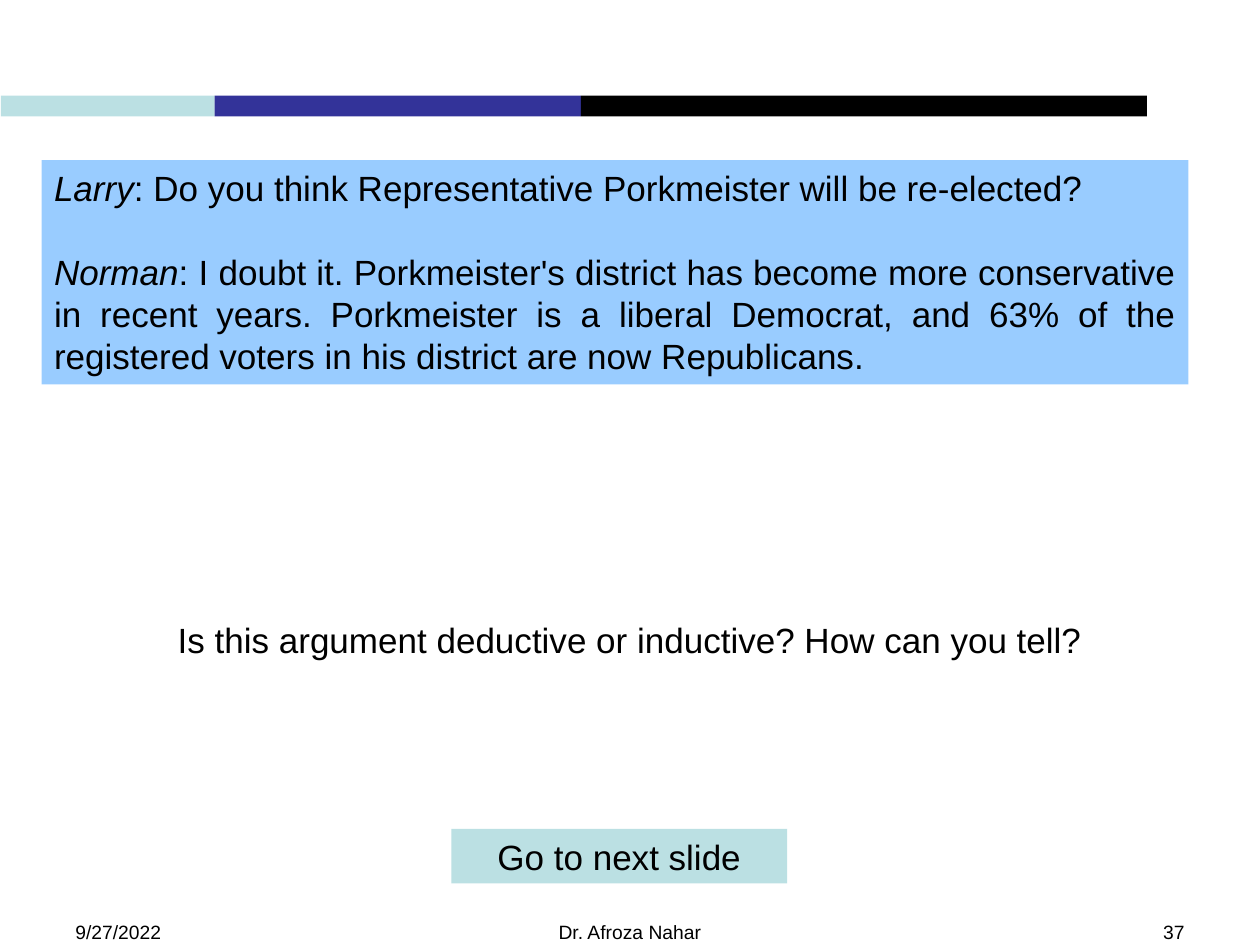
"""Build a slide with a short dialogue and a question on its argument."""
from dataclasses import dataclass

from pptx import Presentation
from pptx.dml.color import RGBColor
from pptx.enum.shapes import MSO_SHAPE
from pptx.enum.text import MSO_ANCHOR, PP_ALIGN
from pptx.util import Cm, Pt

RECT = MSO_SHAPE.RECTANGLE
TOP = MSO_ANCHOR.TOP
LEFT, MID, RIGHT, FULL = (PP_ALIGN.LEFT, PP_ALIGN.CENTER,
                          PP_ALIGN.RIGHT, PP_ALIGN.JUSTIFY)


@dataclass(frozen=True)
class Theme:
    """Hold the colours, font and type sizes."""
    ink: str = "000000"
    teal: str = "BBE0E3"
    navy: str = "333399"
    sky: str = "99CCFF"
    font: str = "Arial"
    body: int = 20
    small: int = 11


def write(shape, paras, theme, size, align=LEFT, gap=0):
    """Fill a shape with paragraphs of (text, italic) runs."""
    frame = shape.text_frame
    frame.word_wrap = True
    frame.vertical_anchor = TOP
    for i, runs in enumerate(paras):
        para = frame.add_paragraph() if i else frame.paragraphs[0]
        para.alignment = align
        para.space_before = Pt(gap if i else 0)
        for text, slant in runs:
            run = para.add_run()
            run.text = text
            font = run.font
            font.name, font.size, font.italic = theme.font, Pt(size), slant
            font.color.rgb = RGBColor.from_string(theme.ink)


class Page:
    """Draw elements on one slide in one style."""

    def __init__(self, slide, theme):
        """Keep the slide and its theme."""
        self.slide, self.theme = slide, theme

    def box(self, area, fill):
        """Add a plain filled rectangle."""
        shape = self.slide.shapes.add_shape(RECT, *map(Cm, area))
        shape.shadow.inherit = False
        shape.fill.solid()
        shape.fill.fore_color.rgb = RGBColor.from_string(fill)
        shape.line.fill.background()
        return shape

    def panel(self, area, fill, paras, **form):
        """Add a filled rectangle with text."""
        write(self.box(area, fill), paras, self.theme, self.theme.body, **form)

    def label(self, area, text, size, align):
        """Add one line of free text."""
        shape = self.slide.shapes.add_textbox(*map(Cm, area))
        write(shape, [[(text, False)]], self.theme, size, align)


def main():
    """Build and save the slide."""
    deck = Presentation()
    deck.slide_width, deck.slide_height = Cm(25.4), Cm(19.05)
    theme = Theme()
    page = Page(deck.slides.add_slide(deck.slide_layouts[6]), theme)

    left = 0.02
    for width, fill in ((4.31, theme.teal), (7.38, theme.navy),
                        (11.41, theme.ink)):
        page.box((left, 1.93, width, 0.42), fill)
        left += width

    for x, width, text, align in ((1.27, 5.93, "9/27/2022", LEFT),
                                  (8.68, 8.04, "Dr. Afroza Nahar", MID),
                                  (18.2, 5.93, "37", RIGHT)):
        page.label((x, 18.42, width, 1.01), text, theme.small, align)

    talk = [
        [("Larry", True),
         (": Do you think Representative Porkmeister will be re-elected?",
          False)],
        [("Norman", True),
         (": I doubt it. Porkmeister's district has become more conservative "
          "in recent years. Porkmeister is a liberal Democrat, and 63% of the "
          "registered voters in his district are now Republicans.", False)],
    ]
    page.panel((0.84, 3.23, 23.12, 4.52), theme.sky, talk, align=FULL, gap=24)
    page.label((0, 12.34, 25.4, 1.1),
               "Is this argument deductive or inductive? How can you tell?",
               theme.body, MID)
    page.panel((9.1, 16.71, 6.77, 1.1), theme.teal,
               [[("Go to next slide", False)]], align=MID)
    deck.save("out.pptx")


main()
